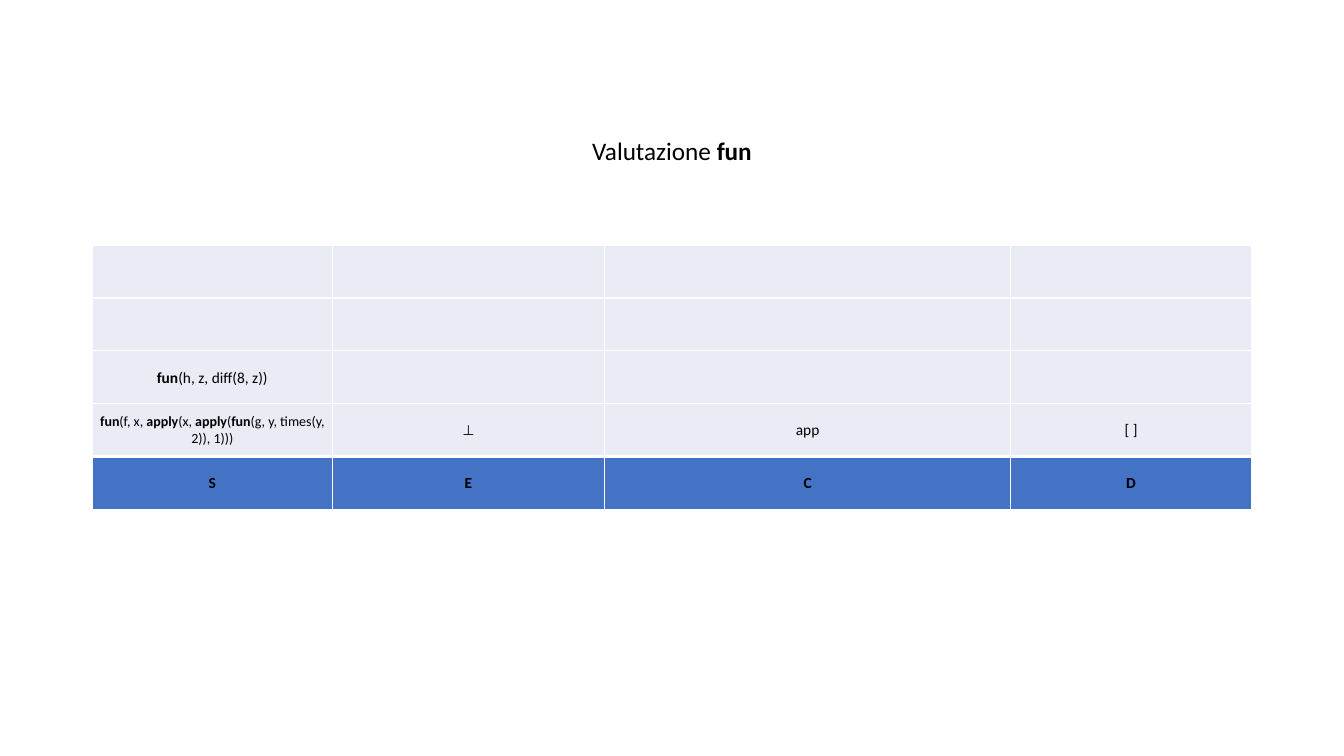
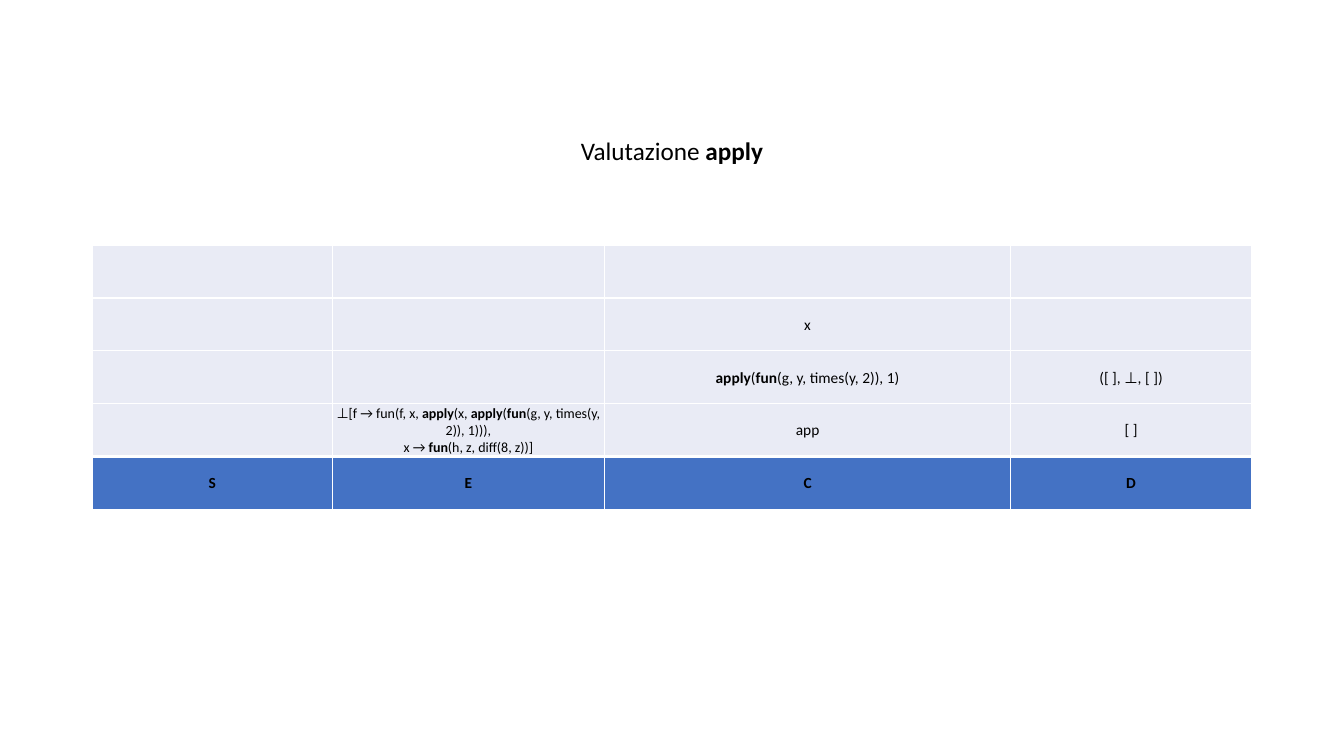
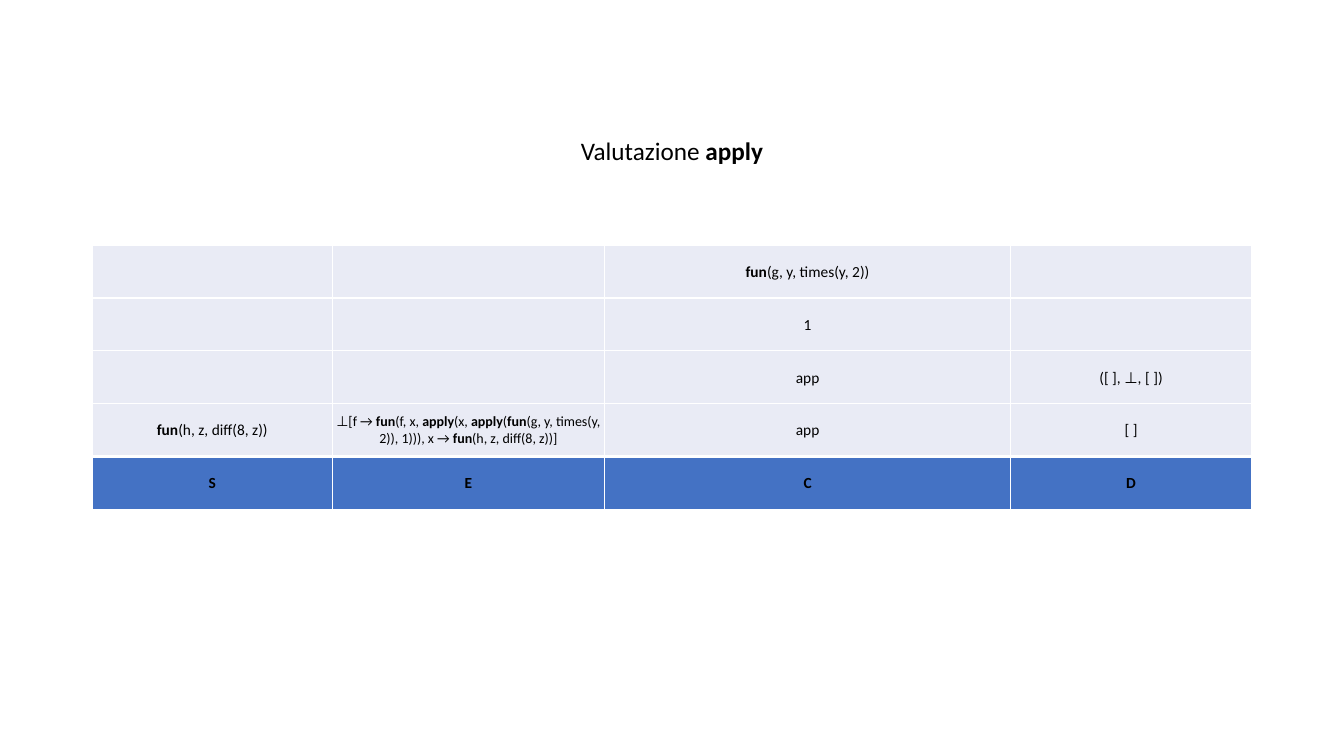
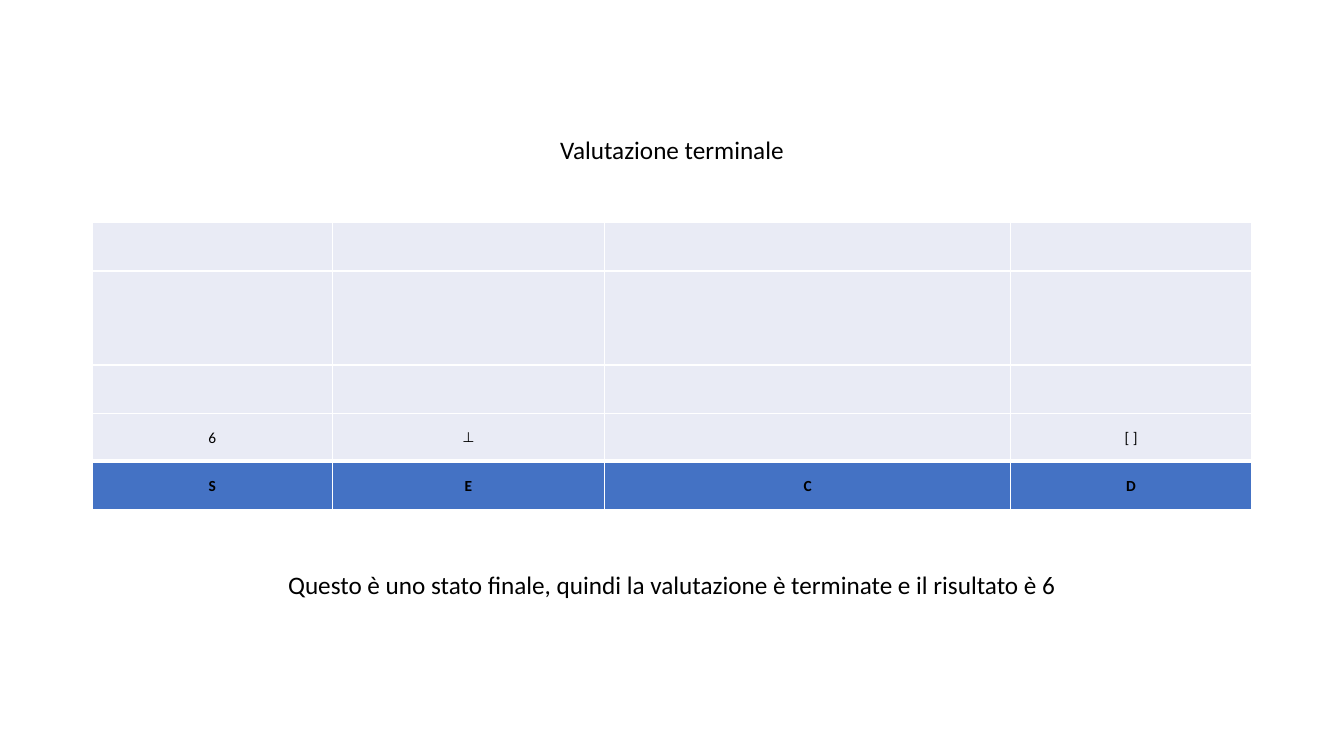
from dataclasses import dataclass

from lxml import etree
from pptx import Presentation
from pptx import util as u
from pptx.dml import color
from pptx.enum import text
from pptx.oxml import ns

HUES = {"ink": "000000", "body": "E9EBF5", "head": "4472C4", "rule": "FFFFFF"}
FONT = "Calibri"
WIDE, HIGH = 960, 540
COLS = (171.4, 194.4, 290.2, 172)
HEADS = ("S", "E", "C", "D")
BASE = 364
EVEN = (37.8,) * 5
TALL = (34.4, 67.2, 34.4, 34.4, 34.4)
THIN, THICK = 1, 3


@dataclass(frozen=True)
class Label:
    mark: str
    top: float
    width: float


@dataclass(frozen=True)
class Entry:
    row: int
    col: str
    mark: str
    size: float = 11


@dataclass(frozen=True)
class Step:
    labels: tuple[Label, ...]
    cells: tuple[Entry, ...]
    rows: tuple[float, ...] = EVEN


FLOOR = Entry(3, "D", "[ ]")
SAVED = Entry(2, "D", "([ ], ⊥, [ ])")
APP = Entry(3, "C", "app")
EMPTY = Entry(3, "E", "⊥", 10)
DIFF = "*fun*(h, z, diff(8, z))"
TIMES = "*fun*(g, y, times(y, 2))"
INNER = f"*apply*({TIMES}, 1)"
REST = f"(f, x, *apply*(x, {INNER}))"

STEPS = (
    Step(
        (Label("Valutazione *fun*", 93, 194),),
        (Entry(2, "S", DIFF), Entry(3, "S", f"*fun*{REST}", 10), EMPTY, APP, FLOOR),
    ),
    Step(
        (Label("Valutazione *apply*", 93, 194),),
        (
            Entry(1, "C", "x"),
            Entry(2, "C", INNER),
            SAVED,
            Entry(3, "E", f"⊥[f → fun{REST},\nx → {DIFF}]", 10),
            APP,
            FLOOR,
        ),
    ),
    Step(
        (Label("Valutazione *apply*", 93, 194),),
        (
            Entry(0, "C", TIMES),
            Entry(1, "C", "1"),
            Entry(2, "C", "app"),
            SAVED,
            Entry(3, "S", DIFF),
            Entry(3, "E", f"⊥[f → *fun*{REST}, x → {DIFF}]", 10),
            APP,
            FLOOR,
        ),
    ),
    Step(
        (
            Label("Valutazione terminale", 92.2, 259),
            Label(
                "Questo è uno stato finale, quindi la valutazione è terminate"
                " e il risultato è 6",
                403.2,
                sum(COLS),
            ),
        ),
        (Entry(3, "S", "6"), EMPTY, FLOOR),
        TALL,
    ),
)


def tint(name: str) -> color.RGBColor:
    return color.RGBColor.from_string(HUES[name])


def write(frame, mark: str, size: float) -> None:
    par = frame.paragraphs[0]
    par.alignment = text.PP_ALIGN.CENTER
    for num, line in enumerate(mark.split("\n")):
        if num:
            par.add_line_break()
        for part, words in enumerate(line.split("*")):
            if words:
                run = par.add_run()
                run.text = words
                run.font.name = FONT
                run.font.size = u.Pt(size)
                run.font.bold = part % 2 == 1
                run.font.color.rgb = tint("ink")


def border(cell, top: float, base: float) -> None:
    props = cell._tc.get_or_add_tcPr()
    for side, width in (("L", THIN), ("R", THIN), ("T", top), ("B", base)):
        line = etree.SubElement(props, ns.qn(f"a:ln{side}"), w=str(u.Pt(width)))
        fill = etree.SubElement(line, ns.qn("a:solidFill"))
        etree.SubElement(fill, ns.qn("a:srgbClr"), val=HUES["rule"])


def style(cell, row: int, last: int) -> None:
    border(cell, THICK if row == last else THIN, THICK if row == last - 1 else THIN)
    cell.fill.solid()
    cell.fill.fore_color.rgb = tint("head" if row == last else "body")
    cell.vertical_anchor = text.MSO_ANCHOR.MIDDLE
    cell.margin_left = cell.margin_right = cell.margin_top = u.Pt(0.7)
    cell.margin_bottom = u.Pt(0)


def draw_grid(slide, step: Step) -> None:
    width, height = sum(COLS), sum(step.rows)
    last = len(step.rows) - 1
    grid = slide.shapes.add_table(
        len(step.rows), len(COLS),
        u.Pt((WIDE - width) / 2), u.Pt(BASE - height), u.Pt(width), u.Pt(height),
    ).table
    grid.first_row = grid.horz_banding = False
    for col, size in zip(grid.columns, COLS):
        col.width = u.Pt(size)
    for num, size in enumerate(step.rows):
        grid.rows[num].height = u.Pt(size)
        for cell in grid.rows[num].cells:
            style(cell, num, last)
    for entry in step.cells:
        cell = grid.cell(entry.row, HEADS.index(entry.col))
        write(cell.text_frame, entry.mark, entry.size)
    for num, head in enumerate(HEADS):
        write(grid.cell(last, num).text_frame, f"*{head}*", 11)


def draw_label(slide, label: Label) -> None:
    left = (WIDE - label.width) / 2
    box = slide.shapes.add_textbox(
        u.Pt(left), u.Pt(label.top), u.Pt(label.width), u.Pt(29)
    )
    box.text_frame.word_wrap = True
    box.text_frame.auto_size = text.MSO_AUTO_SIZE.SHAPE_TO_FIT_TEXT
    write(box.text_frame, label.mark, 18)


def main() -> None:
    deck = Presentation()
    deck.slide_width, deck.slide_height = u.Pt(WIDE), u.Pt(HIGH)
    for step in STEPS:
        slide = deck.slides.add_slide(deck.slide_layouts[6])
        draw_grid(slide, step)
        for label in step.labels:
            draw_label(slide, label)
    deck.save("out.pptx")


if __name__ == "__main__":
    main()
